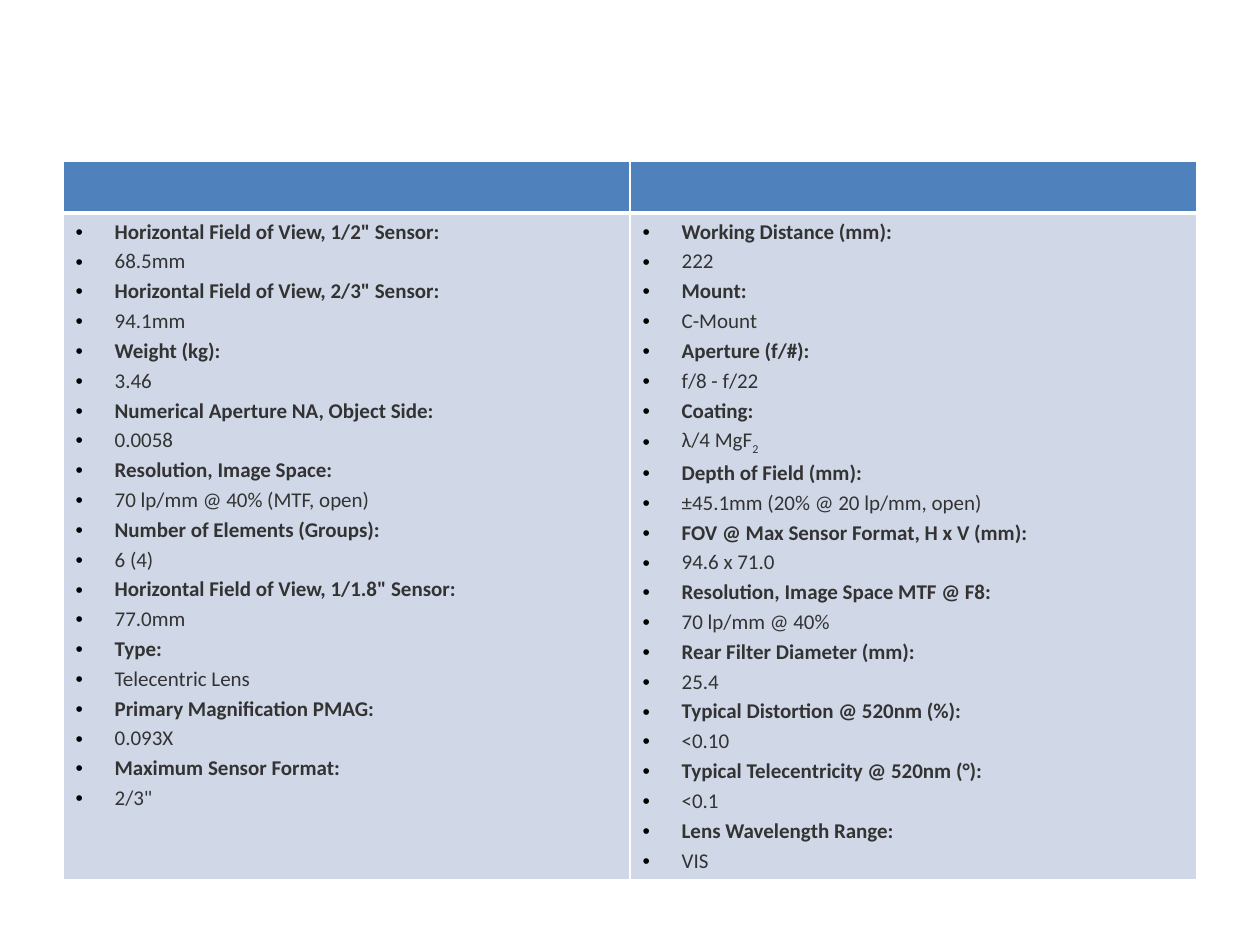
import pptx
import pptx.dml.color
import pptx.oxml.ns
import pptx.util
from lxml import etree

Inches = pptx.util.Inches
Pt = pptx.util.Pt

LEFT_SPECS = [
    ('Horizontal Field of View, 1/2" Sensor:', "68.5mm"),
    ('Horizontal Field of View, 2/3" Sensor:', "94.1mm"),
    ("Weight (kg):", "3.46"),
    ("Numerical Aperture NA, Object Side:", "0.0058"),
    ("Resolution, Image Space:", "70 lp/mm @ 40% (MTF, open)"),
    ("Number of Elements (Groups):", "6 (4)"),
    ('Horizontal Field of View, 1/1.8" Sensor:', "77.0mm"),
    ("Type:", "Telecentric Lens"),
    ("Primary Magnification PMAG:", "0.093X"),
    ("Maximum Sensor Format:", '2/3"'),
]
RIGHT_SPECS = [
    ("Working Distance (mm):", "222"),
    ("Mount:", "C-Mount"),
    ("Aperture (f/#):", "f/8 - f/22"),
    ("Coating:", "λ/4 MgF", "2"),
    ("Depth of Field (mm):", "±45.1mm (20% @ 20 lp/mm, open)"),
    ("FOV @ Max Sensor Format, H x V (mm):", "94.6 x 71.0"),
    ("Resolution, Image Space MTF @ F8:", "70 lp/mm @ 40%"),
    ("Rear Filter Diameter (mm):", "25.4"),
    ("Typical Distortion @ 520nm (%):", "<0.10"),
    ("Typical Telecentricity @ 520nm (°):", "<0.1"),
    ("Lens Wavelength Range:", "VIS"),
]


def color(value):
    return pptx.dml.color.RGBColor.from_string(value)


def add_element(parent, tag, **attributes):
    return etree.SubElement(parent, pptx.oxml.ns.qn(tag), **attributes)


class SlideBuilder:
    font = "Calibri"
    size = Pt(12)
    gap = Pt(2.4)
    ink = "333333"
    bullet_ink = "000000"
    header_fill = "4F81BD"
    body_fill = "D0D8E8"
    border = "FFFFFF"
    indent = Inches(0.31)

    def __init__(self, deck):
        self.slide = deck.slides.add_slide(deck.slide_layouts[6])

    def table(self, left, top, column_widths, row_heights):
        frame = self.slide.shapes.add_table(
            len(row_heights), len(column_widths), left, top,
            sum(column_widths), sum(row_heights))
        table = frame.table
        for column, width in zip(table.columns, column_widths):
            column.width = width
        for row, height in zip(table.rows, row_heights):
            row.height = height
        return table

    def style_cell(self, cell, fill, top=1, bottom=1):
        """Fill the cell and draw its borders, with widths in points."""
        properties = cell._tc.get_or_add_tcPr()
        for tag, width in (("a:lnL", 1), ("a:lnR", 1), ("a:lnT", top), ("a:lnB", bottom)):
            line = add_element(properties, tag, w=str(Pt(width)))
            add_element(add_element(line, "a:solidFill"), "a:srgbClr", val=self.border)
        cell.fill.solid()
        cell.fill.fore_color.rgb = color(fill)

    def bullet(self, para, first):
        properties = para._p.get_or_add_pPr()
        properties.set("marL", str(self.indent))
        properties.set("indent", str(-self.indent))
        add_element(add_element(properties, "a:buClr"), "a:srgbClr", val=self.bullet_ink)
        add_element(properties, "a:buFont", typeface="Arial")
        add_element(properties, "a:buChar", char="•")
        para.space_before = Pt(0) if first else self.gap

    def span(self, para, text, bold=False, subscript=False):
        span = para.add_run()
        span.text = text
        span.font.name = self.font
        span.font.size = self.size
        span.font.bold = bold
        span.font.color.rgb = color(self.ink)
        if subscript:
            span._r.get_or_add_rPr().set("baseline", "-25000")

    def spec_list(self, cell, specs):
        """Write each label in bold, then its value with an optional subscript."""
        box = cell.text_frame
        for index, (label, value, *subscripts) in enumerate(specs):
            para = box.add_paragraph() if index else box.paragraphs[0]
            self.bullet(para, first=index == 0)
            self.span(para, label, bold=True)
            para = box.add_paragraph()
            self.bullet(para, first=False)
            self.span(para, value)
            for subscript in subscripts:
                self.span(para, subscript, subscript=True)


def main():
    deck = pptx.Presentation()
    deck.slide_width, deck.slide_height = Inches(10), Inches(7.5)
    builder = SlideBuilder(deck)
    table = builder.table(Inches(0.5), Inches(1.28),
                          [Inches(4.5)] * 2, [Inches(0.41), Inches(5.28)])
    for column, specs in enumerate((LEFT_SPECS, RIGHT_SPECS)):
        builder.style_cell(table.cell(0, column), builder.header_fill, bottom=3)
        body = table.cell(1, column)
        builder.style_cell(body, builder.body_fill, top=3)
        builder.spec_list(body, specs)
    deck.save("out.pptx")


if __name__ == "__main__":
    main()
